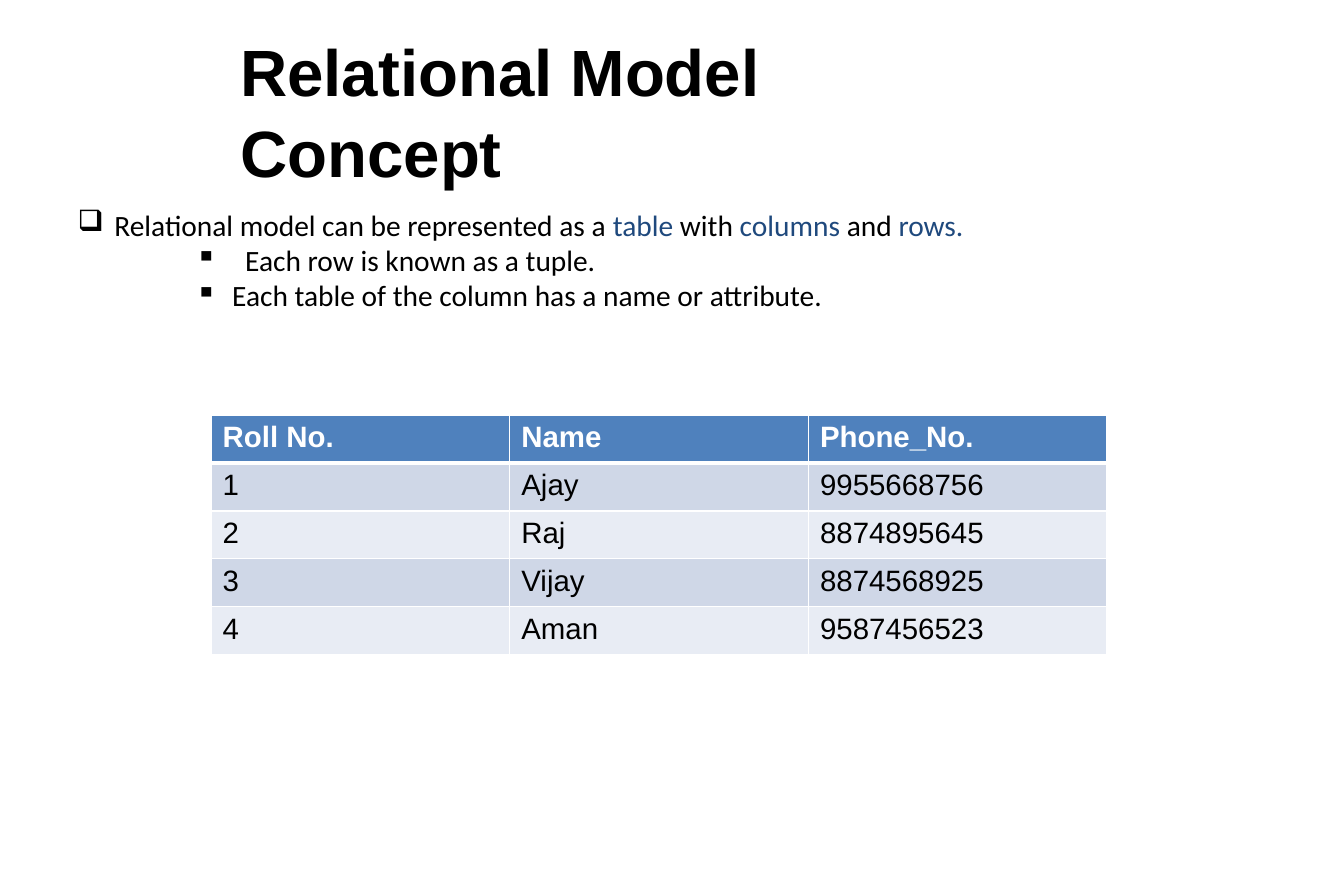
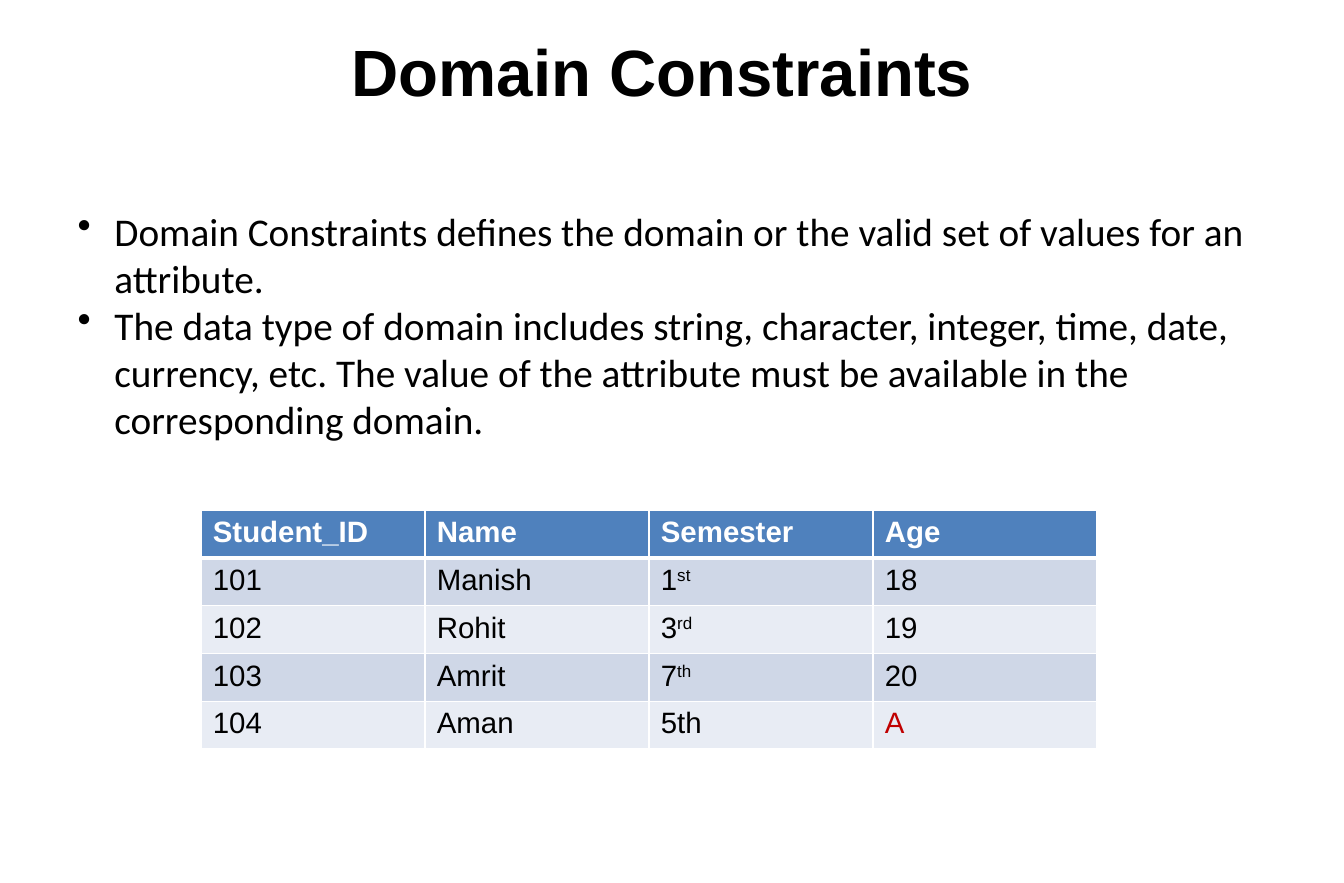
from lxml.etree import SubElement
from pptx import Presentation
from pptx.dml.color import RGBColor
from pptx.enum.text import MSO_ANCHOR, MSO_AUTO_SIZE, PP_ALIGN
from pptx.oxml.ns import qn
from pptx.util import Pt

COLORS = {
    "ink": "000000", "accent": "1F497D", "alert": "C00000", "white": "FFFFFF",
    "head": "4F81BD", "dark": "CFD7E7", "light": "E8ECF4",
}
HANG = 22.5
ROW = 29.25


def color(name):
    return RGBColor.from_string(COLORS[name])


def write(par, text, size=18, font="Arial", ink="ink", bold=False, raised=False):
    run = par.add_run()
    run.text = text
    run.font.size = Pt(size)
    run.font.name = font
    run.font.bold = bold
    run.font.color.rgb = color(ink)
    if raised:
        run._r.get_or_add_rPr().set("baseline", "30000")


def write_parts(par, parts, **style):
    """Write a string, or a list of strings and (text, format) pairs."""
    for part in [parts] if isinstance(parts, str) else parts:
        text, extra = (part, {}) if isinstance(part, str) else part
        write(par, text, **{**style, **extra})


def set_frame(frame):
    frame.word_wrap = True
    frame.auto_size = MSO_AUTO_SIZE.NONE
    frame.vertical_anchor = MSO_ANCHOR.TOP
    frame.margin_left = frame.margin_right = 0
    frame.margin_top = frame.margin_bottom = 0


def place_title(slide, box, text, align):
    title = slide.shapes.title
    title.left, title.top, title.width, title.height = map(Pt, box)
    set_frame(title.text_frame)
    par = title.text_frame.paragraphs[0]
    par.alignment = align
    par.line_spacing = 1.04
    write(par, text, size=40, bold=True)


def place_list(slide, box, items, size):
    """Each item is its bullet, bullet indent, hanging indent and text."""
    frame = slide.shapes.add_textbox(*map(Pt, box)).text_frame
    set_frame(frame)
    for i, (mark, indent, hang, parts) in enumerate(items):
        par = frame.add_paragraph() if i else frame.paragraphs[0]
        props = par._p.get_or_add_pPr()
        props.set("marL", str(Pt(indent + hang)))
        props.set("indent", str(-Pt(hang)))
        SubElement(props, qn("a:buChar")).set("char", mark)
        write_parts(par, parts, size=size, font="Calibri")


def paint_cell(cell, fill, base):
    """Add white borders, with the given bottom width, and a fill."""
    props = cell._tc.get_or_add_tcPr()
    for side, width in (("L", 1), ("R", 1), ("T", 1), ("B", base)):
        line = SubElement(props, qn(f"a:ln{side}"), w=str(Pt(width)))
        solid = SubElement(line, qn("a:solidFill"))
        SubElement(solid, qn("a:srgbClr"), val=COLORS["white"])
    cell.fill.solid()
    cell.fill.fore_color.rgb = color(fill)


def place_table(slide, left, top, width, rows):
    count = len(rows[0])
    table = slide.shapes.add_table(
        len(rows), count, Pt(left), Pt(top), Pt(width), Pt(ROW * len(rows))).table
    for col in table.columns:
        col.width = Pt(width / count)
    for r, row in enumerate(rows):
        table.rows[r].height = Pt(ROW)
        head = r == 0
        fill = "head" if head else "dark" if r % 2 else "light"
        for c, parts in enumerate(row):
            cell = table.cell(r, c)
            # The line under the heading is shared with the first data row.
            paint_cell(cell, fill, 3 if head else 1)
            if r == 1:
                cell._tc.tcPr.find(qn("a:lnT")).set("w", str(Pt(3)))
            write_parts(cell.text_frame.paragraphs[0], parts,
                        ink="white" if head else "ink", bold=head)


def build_model(slide):
    blue = {"ink": "accent"}
    place_title(slide, (147, 17, 480, 51), "Relational Model Concept", PP_ALIGN.LEFT)
    place_list(slide, (47.5, 126.5, 728, 66), [
        ("❑", 0, HANG, ["Relational model can be represented as a ", ("table", blue),
                        " with ", ("columns", blue), " and ", ("rows.", blue)]),
        ("▪", 72, HANG + 8, "Each row is known as a tuple."),
        ("▪", 72, HANG, "Each table of the column has a name or attribute."),
    ], 18)
    place_table(slide, 129, 254, 548, [
        ("Roll No.", "Name", "Phone_No."),
        ("1", "Ajay", "9955668756"),
        ("2", "Raj", "8874895645"),
        ("3", "Vijay", "8874568925"),
        ("4", "Aman", "9587456523"),
    ])


def build_domain(slide):
    up = {"raised": True}
    place_title(slide, (159, 17, 492, 48), "Domain Constraints", PP_ALIGN.CENTER)
    place_list(slide, (47.5, 126.5, 728, 174), [
        ("•", 0, HANG, "Domain Constraints defines the domain or the valid set of "
                       "values for an attribute."),
        ("•", 0, HANG, "The data type of domain includes string, character, integer, "
                       "time, date, currency, etc. The value of the attribute must be "
                       "available in the corresponding domain."),
    ], 24)
    place_table(slide, 123, 312, 548, [
        ("Student_ID", "Name", "Semester", "Age"),
        ("101", "Manish", ["1", ("st", up)], "18"),
        ("102", "Rohit", ["3", ("rd", up)], "19"),
        ("103", "Amrit", ["7", ("th", up)], "20"),
        ("104", "Aman", "5th", [("A", {"ink": "alert"})]),
    ])


def main():
    deck = Presentation()
    deck.slide_width, deck.slide_height = Pt(822), Pt(540)
    for build in (build_model, build_domain):
        build(deck.slides.add_slide(deck.slide_layouts[5]))
    deck.save("out.pptx")


if __name__ == "__main__":
    main()
